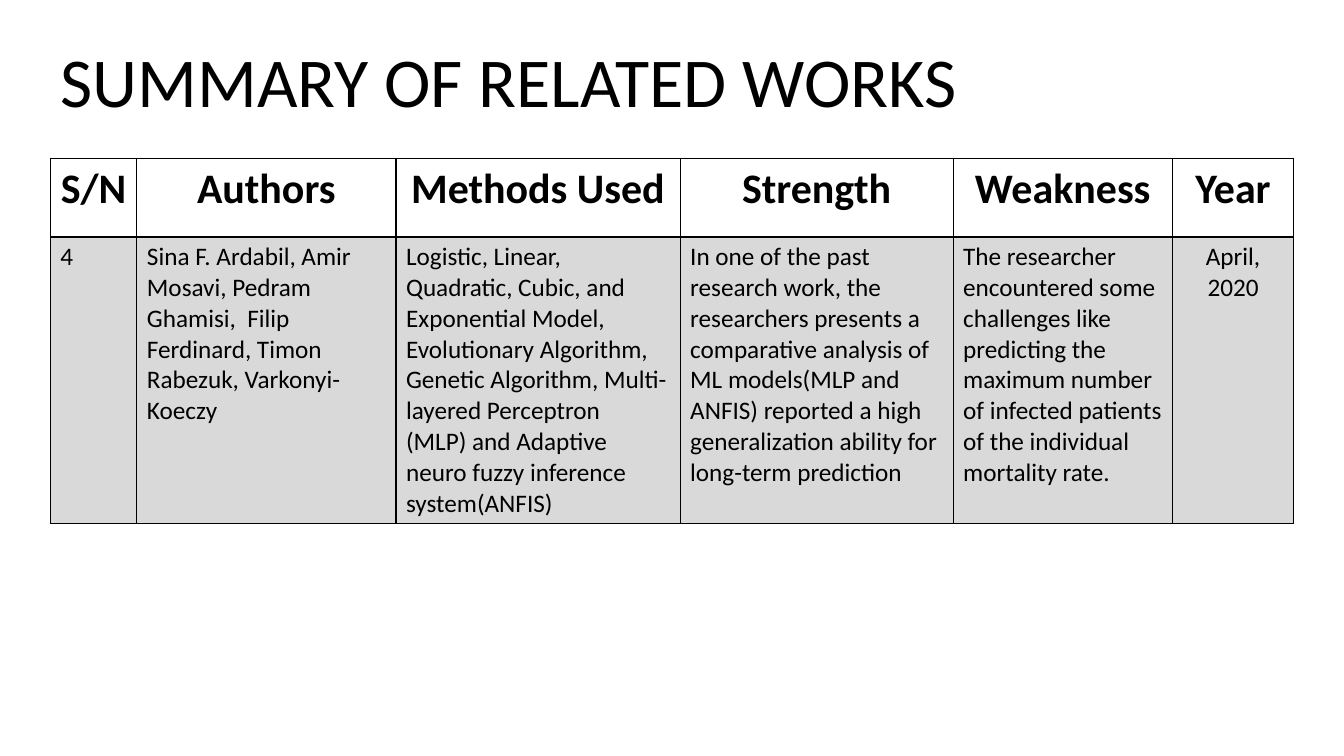
from dataclasses import dataclass

from lxml.etree import SubElement
from pptx import Presentation
from pptx.dml.color import RGBColor
from pptx.enum.text import MSO_ANCHOR, PP_ALIGN
from pptx.oxml.ns import qn
from pptx.slide import Slide
from pptx.table import _Cell as Cell
from pptx.text.text import _Paragraph as Paragraph
from pptx.util import Cm, Pt

FONT = "Calibri"
BLACK = RGBColor(0x00, 0x00, 0x00)
WHITE = RGBColor(0xFF, 0xFF, 0xFF)
GREY = RGBColor(0xD9, 0xD9, 0xD9)
MARGIN = Cm(1.27)
ROW_HEIGHTS = (Cm(1.98), Cm(7.21))


@dataclass(frozen=True)
class Column:
    heading: str
    entry: str
    width: Cm
    entry_alignment: PP_ALIGN = PP_ALIGN.LEFT


COLUMNS = (
    Column("S/N", "4", Cm(2.18)),
    Column(
        "Authors",
        "Sina F. Ardabil, Amir Mosavi, Pedram Ghamisi,  Filip Ferdinard, "
        "Timon Rabezuk, Varkonyi-Koeczy",
        Cm(6.53),
    ),
    Column(
        "Methods Used",
        "Logistic, Linear,\n"
        "Quadratic, Cubic, and Exponential Model, Evolutionary Algorithm, "
        "Genetic Algorithm, Multi-layered Perceptron\n"
        "(MLP) and Adaptive neuro fuzzy inference system(ANFIS)",
        Cm(7.16),
    ),
    Column(
        "Strength",
        "In one of the past research work, the researchers presents a "
        "comparative analysis of ML models(MLP and ANFIS) reported a high "
        "generalization ability for long-term prediction",
        Cm(6.88),
    ),
    Column(
        "Weakness",
        "The researcher encountered some challenges like predicting the "
        "maximum number of infected patients of the individual mortality rate.",
        Cm(5.53),
    ),
    Column("Year", "April, 2020", Cm(3.05), PP_ALIGN.CENTER),
)


def format_paragraph(
    paragraph: Paragraph, size: int, alignment: PP_ALIGN, bold: bool = False
) -> None:
    paragraph.alignment = alignment
    font = paragraph.font
    font.name = FONT
    font.size = Pt(size)
    font.bold = bold
    font.color.rgb = BLACK


def add_borders(cell: Cell) -> None:
    properties = cell._tc.get_or_add_tcPr()
    for side in ("lnL", "lnR", "lnT", "lnB"):
        line = SubElement(properties, qn(f"a:{side}"), w=str(Pt(1)))
        fill = SubElement(line, qn("a:solidFill"))
        SubElement(fill, qn("a:srgbClr"), val=str(BLACK))


def fill_cell(
    cell: Cell, text: str, color: RGBColor, size: int, alignment: PP_ALIGN, bold: bool
) -> None:
    add_borders(cell)
    cell.fill.solid()
    cell.fill.fore_color.rgb = color
    cell.text = text
    for paragraph in cell.text_frame.paragraphs:
        format_paragraph(paragraph, size, alignment, bold)


def add_title(slide: Slide) -> None:
    title = slide.shapes.title
    title.left, title.top = MARGIN, Cm(0.69)
    title.width, title.height = Cm(29.21), Cm(2.92)
    frame = title.text_frame
    frame.text = "SUMMARY OF RELATED WORKS"
    frame.vertical_anchor = MSO_ANCHOR.MIDDLE
    frame.paragraphs[0].line_spacing = 0.9
    format_paragraph(frame.paragraphs[0], 50, PP_ALIGN.LEFT)


def add_works_table(slide: Slide) -> None:
    width = sum(column.width for column in COLUMNS)
    table = slide.shapes.add_table(
        len(ROW_HEIGHTS), len(COLUMNS), MARGIN, Cm(3.99), width, sum(ROW_HEIGHTS)
    ).table
    table.first_row = False
    table.horz_banding = False
    for row, height in zip(table.rows, ROW_HEIGHTS):
        row.height = height
    for index, column in enumerate(COLUMNS):
        table.columns[index].width = column.width
        fill_cell(
            table.cell(0, index), column.heading, WHITE, 30, PP_ALIGN.CENTER, True
        )
        fill_cell(
            table.cell(1, index), column.entry, GREY, 18, column.entry_alignment, False
        )


def main() -> None:
    presentation = Presentation()
    presentation.slide_width = Cm(33.87)
    presentation.slide_height = Cm(19.05)
    title_only = presentation.slide_layouts.get_by_name("Title Only")
    slide = presentation.slides.add_slide(title_only)
    add_title(slide)
    add_works_table(slide)
    presentation.save("out.pptx")


if __name__ == "__main__":
    main()
